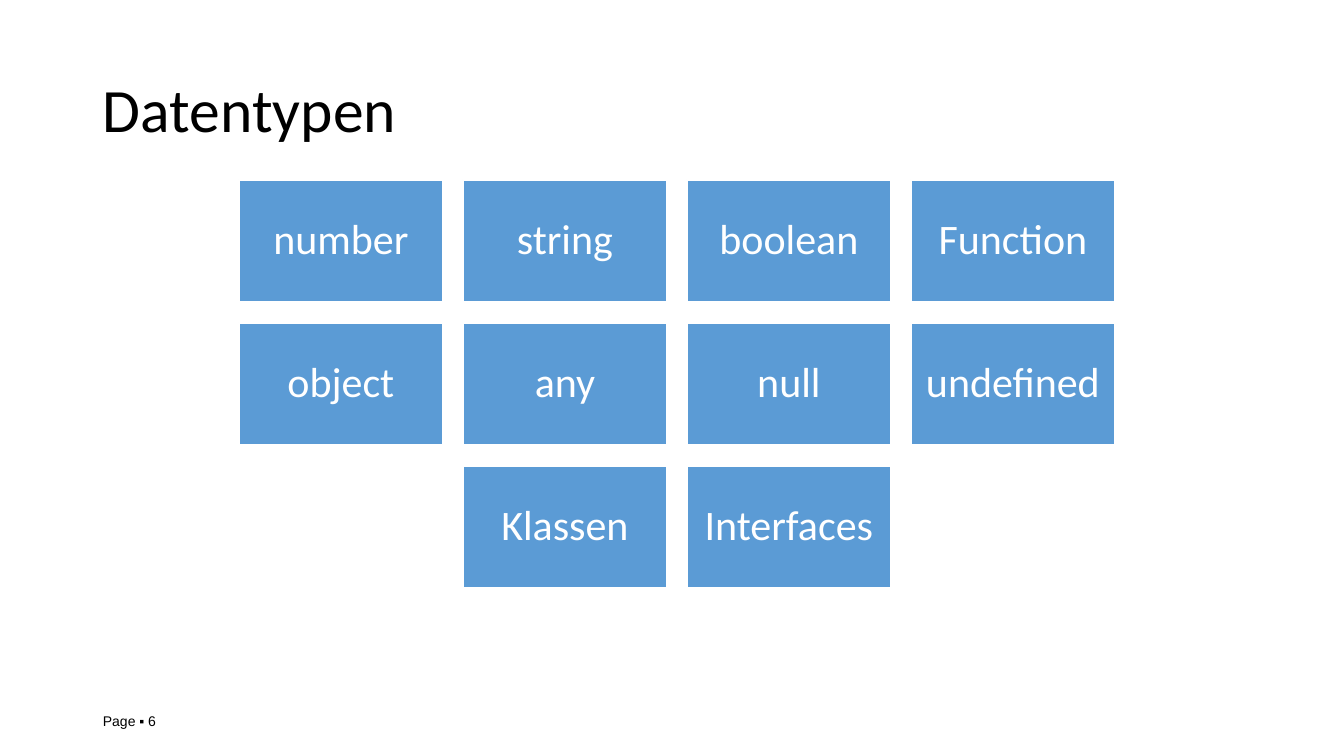
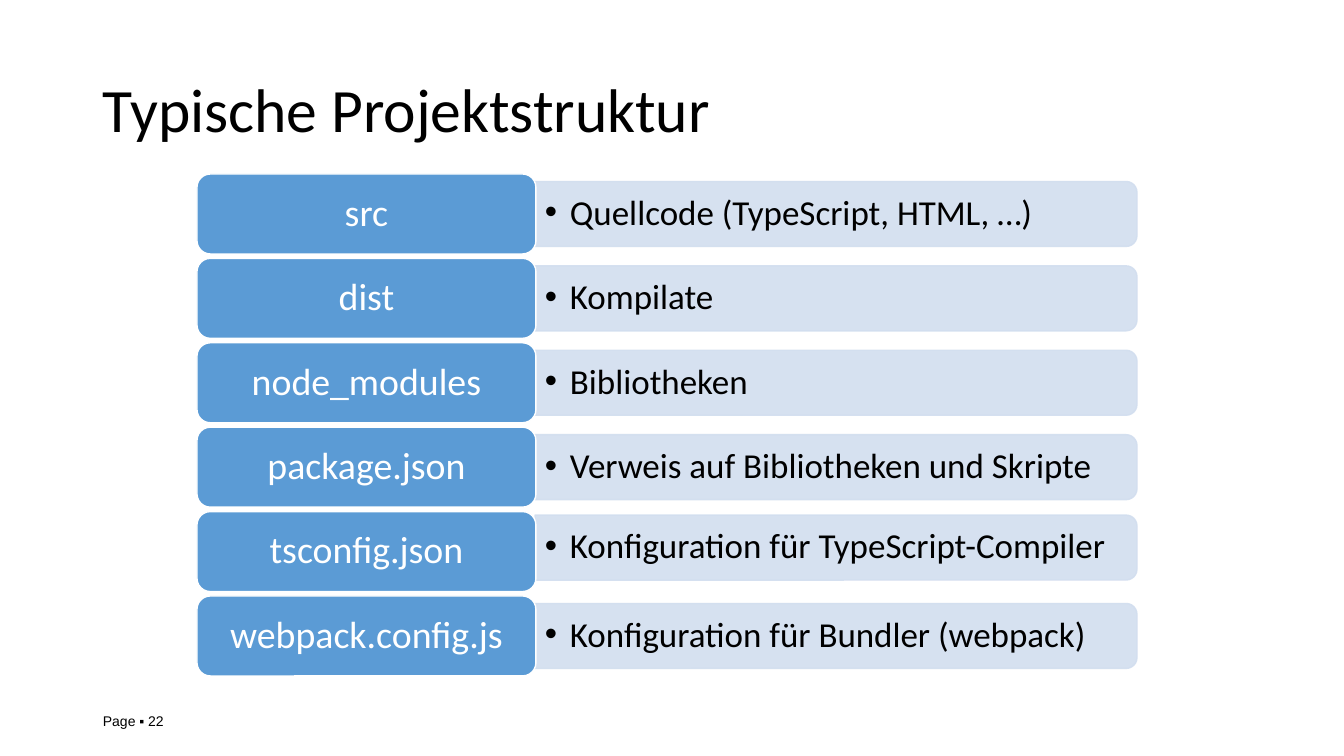
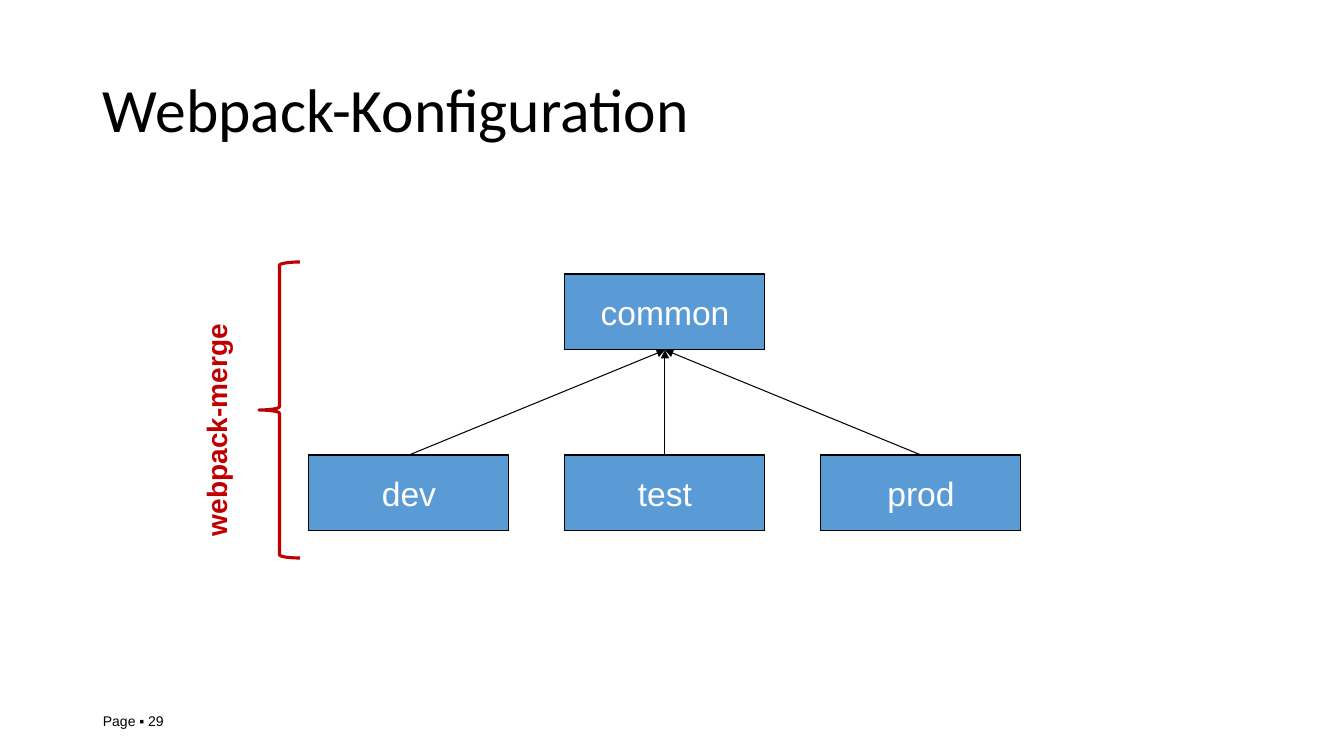
import pptx
import pptx.dml.color
import pptx.enum.dml
import pptx.enum.shapes
import pptx.enum.text
import pptx.oxml.ns
import pptx.util
from lxml import etree

RGBColor = pptx.dml.color.RGBColor
SHAPE = pptx.enum.shapes.MSO_SHAPE
ALIGN = pptx.enum.text.PP_ALIGN
ANCHOR = pptx.enum.text.MSO_ANCHOR
qn = pptx.oxml.ns.qn

# Content
TYPES_TITLE, TYPES_PAGE = "Datentypen", 6
TYPE_ROWS = [
    ["number", "string", "boolean", "Function"],
    ["object", "any", "null", "undefined"],
    ["Klassen", "Interfaces"],
]
STRUCTURE_TITLE, STRUCTURE_PAGE = "Typische Projektstruktur", 22
# name, description, vertical shift of the description in px
PROJECT_ENTRIES = [
    ("src", "Quellcode (TypeScript, HTML, …)", 0),
    ("dist", "Kompilate", 0),
    ("node_modules", "Bibliotheken", 0),
    ("package.json", "Verweis auf Bibliotheken und Skripte", 0),
    ("tsconfig.json", "Konfiguration für TypeScript-Compiler", -4),
    ("webpack.config.js", "Konfiguration für Bundler (webpack)", 0),
]
CONFIG_TITLE, CONFIG_PAGE = "Webpack-Konfiguration", 29
BASE_CONFIG = "common"
DERIVED_CONFIGS = ["dev", "test", "prod"]
MERGE_LABEL = "webpack-merge"

# Shared look
SLIDE_SIZE = (1344, 756)
EMU_PER_PX = 914400 / 100.8
BLUE = RGBColor(0x5B, 0x9B, 0xD5)
PALE_BLUE = RGBColor(0xD2, 0xDE, 0xEF)
RED = RGBColor(0xC0, 0x00, 0x00)
BLACK = RGBColor(0, 0, 0)
WHITE = RGBColor(255, 255, 255)
TITLE_BOX = (93, 40, 1159, 146)
FOOTER_BOX = (93, 701, 302, 40)


def px(length):
    return pptx.util.Emu(round(length * EMU_PER_PX))


def write_text(shape, text, size, font="Calibri", color=BLACK, align=ALIGN.LEFT,
               insets=(10, 5), spacing=None, bold=False, wrap=True):
    frame = shape.text_frame
    frame.word_wrap = wrap
    frame.vertical_anchor = ANCHOR.MIDDLE
    frame.margin_left = frame.margin_right = px(insets[0])
    frame.margin_top = frame.margin_bottom = px(insets[1])
    paragraph = frame.paragraphs[0]
    paragraph.alignment = align
    if spacing:
        paragraph.line_spacing = spacing
    run = paragraph.add_run()
    run.text = text
    run.font.size = pptx.util.Pt(size)
    run.font.name = font
    run.font.bold = bold
    run.font.color.rgb = color
    return paragraph


def add_text(slide, box, text, size, **style):
    text_box = slide.shapes.add_textbox(*map(px, box))
    return text_box, write_text(text_box, text, size, **style)


def add_shape(slide, kind, box, fill, line, line_width):
    shape = slide.shapes.add_shape(kind, *map(px, box))
    shape.shadow.inherit = False
    if fill is None:
        shape.fill.background()
    else:
        shape.fill.solid()
        shape.fill.fore_color.rgb = fill
    shape.line.color.rgb = line
    shape.line.width = pptx.util.Pt(line_width)
    return shape


def add_bullet(paragraph, indent):
    properties = paragraph._p.get_or_add_pPr()
    properties.set("marL", str(px(indent)))
    properties.set("indent", str(-px(indent)))
    etree.SubElement(properties, qn("a:buFont"), typeface="Arial")
    etree.SubElement(properties, qn("a:buChar"), char="•")


def add_arrow(slide, start, end):
    """Arrow from the top of one rectangle to the bottom of another."""
    connector = slide.shapes.add_connector(
        pptx.enum.shapes.MSO_CONNECTOR.STRAIGHT, 0, 0, 0, 0)
    connector.begin_connect(start, 0)
    connector.end_connect(end, 2)
    connector.line.color.rgb = BLACK
    connector.line.width = pptx.util.Pt(0.75)
    etree.SubElement(connector.line._get_or_add_ln(), qn("a:tailEnd"), type="triangle")
    etree.SubElement(connector._element.spPr, qn("a:effectLst"))


def add_slide(presentation, title, page):
    slide = presentation.slides.add_slide(presentation.slide_layouts[6])
    add_text(slide, TITLE_BOX, title, 44, spacing=0.9)
    add_text(slide, FOOTER_BOX, f"Page ▪ {page}", 10, font="Arial")
    return slide


def build_types(presentation):
    slide = add_slide(presentation, TYPES_TITLE, TYPES_PAGE)
    center, top, width, height = 677, 180, 204, 122
    step_x, step_y = 224, 143
    for row, names in enumerate(TYPE_ROWS):
        left = center - (step_x * (len(names) - 1) + width) / 2
        for column, name in enumerate(names):
            box = (left + column * step_x, top + row * step_y, width, height)
            tile = add_shape(slide, SHAPE.RECTANGLE, box, BLUE, WHITE, 1)
            write_text(tile, name, 30, color=WHITE, align=ALIGN.CENTER,
                       insets=(12, 12), spacing=0.9)


def build_structure(presentation):
    slide = add_slide(presentation, STRUCTURE_TITLE, STRUCTURE_PAGE)
    left, label_width, label_height = 197, 339, 80
    bar_left, bar_length, bar_height = 535, 602, 65
    first_center, last_center = 214, 636
    step = (last_center - first_center) / (len(PROJECT_ENTRIES) - 1)
    for index, (name, description, shift) in enumerate(PROJECT_ENTRIES):
        center = first_center + index * step
        bar_center = center + shift
        # The bar stands upright and is turned so its round corners face right
        bar_box = (bar_left + (bar_length - bar_height) / 2,
                   bar_center - bar_length / 2, bar_height, bar_length)
        bar = add_shape(slide, SHAPE.ROUND_2_SAME_RECTANGLE, bar_box,
                        PALE_BLUE, PALE_BLUE, 1)
        bar.rotation = 90
        for color in bar._element.spPr.iter(qn("a:srgbClr")):
            etree.SubElement(color, qn("a:alpha"), val="90000")
        text_box = (bar_left, bar_center - bar_height / 2, bar_length, bar_height)
        _, paragraph = add_text(slide, text_box, description, 25, spacing=0.9)
        add_bullet(paragraph, 25)

        label_box = (left, center - label_height / 2, label_width, label_height)
        label = add_shape(slide, SHAPE.ROUNDED_RECTANGLE, label_box, BLUE, WHITE, 1)
        write_text(label, name, 27, color=WHITE, align=ALIGN.CENTER,
                   insets=(11, 6), spacing=0.9)


def build_config(presentation):
    slide = add_slide(presentation, CONFIG_TITLE, CONFIG_PAGE)
    left, step, width, height = 309, 256, 200, 76
    base_top, derived_top = 274, 455

    def add_config(name, column, top):
        box = (left + column * step, top, width, height)
        node = add_shape(slide, SHAPE.RECTANGLE, box, BLUE, BLACK, 0.75)
        write_text(node, name, 24, font="Arial", color=WHITE,
                   align=ALIGN.CENTER, wrap=False)
        return node

    base = add_config(BASE_CONFIG, 1, base_top)
    for column, name in enumerate(DERIVED_CONFIGS):
        add_arrow(slide, add_config(name, column, derived_top), base)

    # Brace with its upright label
    label, _ = add_text(slide, (99, 407, 234, 44), MERGE_LABEL, 20, font="Arial",
                        color=RED, bold=True, wrap=False)
    label.rotation = 270
    brace = add_shape(slide, SHAPE.LEFT_BRACE, (259, 262, 41, 296), None, RED, 2.25)
    brace.adjustments[0] = 0.08


def main():
    presentation = pptx.Presentation()
    presentation.slide_width, presentation.slide_height = map(px, SLIDE_SIZE)
    build_types(presentation)
    build_structure(presentation)
    build_config(presentation)
    presentation.save("out.pptx")


if __name__ == "__main__":
    main()
